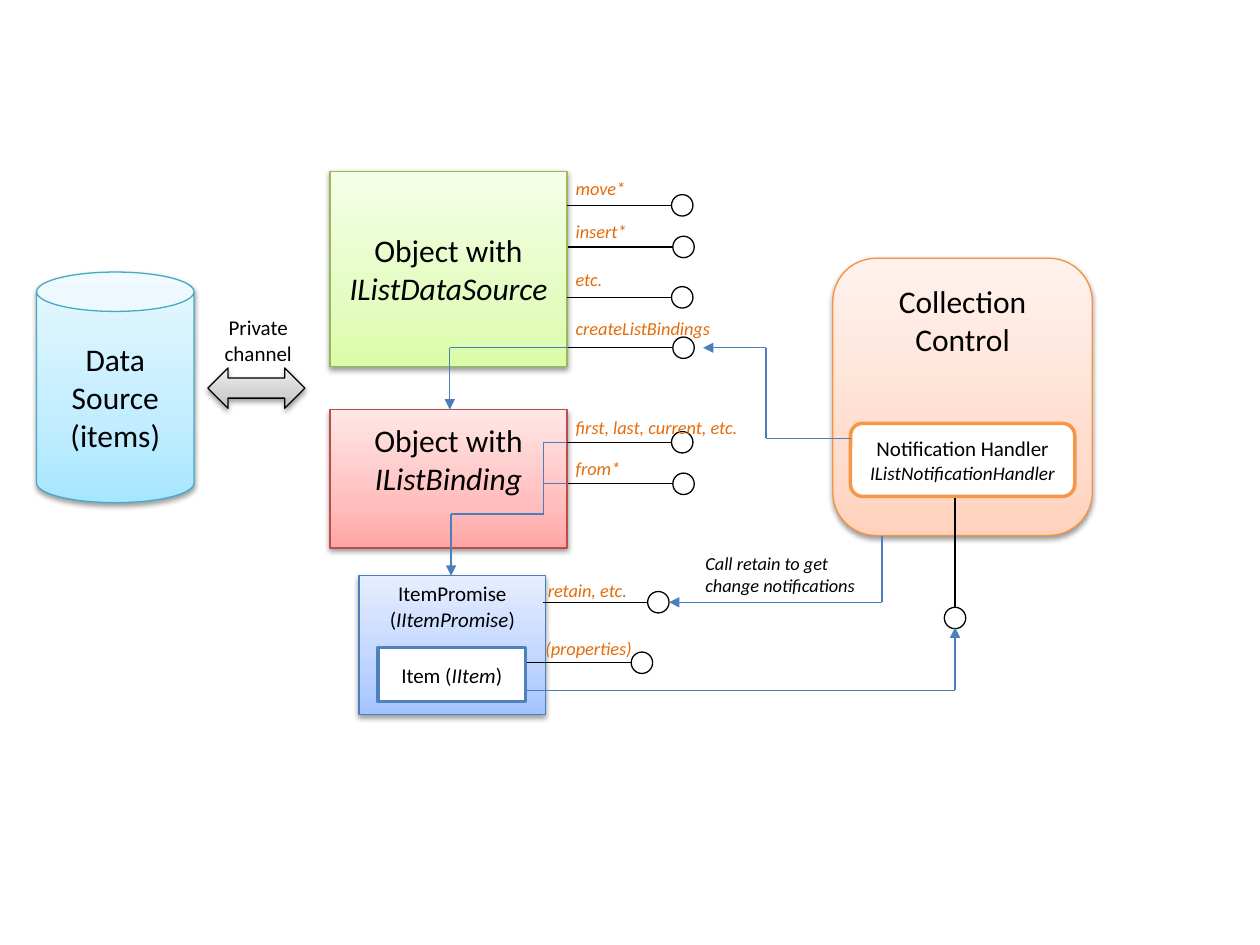
from copy import deepcopy

from lxml import etree
from pptx import Presentation
from pptx.dml.color import RGBColor
from pptx.enum.shapes import MSO_CONNECTOR, MSO_SHAPE
from pptx.enum.text import MSO_ANCHOR, MSO_AUTO_SIZE, PP_ALIGN
from pptx.oxml import parse_xml
from pptx.oxml.ns import nsdecls, qn
from pptx.util import Inches, Pt

STRAIGHT = MSO_CONNECTOR.STRAIGHT
RECT, ROUNDED = MSO_SHAPE.RECTANGLE, MSO_SHAPE.ROUNDED_RECTANGLE
CAN, TWO_WAY, OVAL = MSO_SHAPE.CAN, MSO_SHAPE.LEFT_RIGHT_ARROW, MSO_SHAPE.OVAL
TOP, MIDDLE = MSO_ANCHOR.TOP, MSO_ANCHOR.MIDDLE
LEFT, CENTER = PP_ALIGN.LEFT, PP_ALIGN.CENTER
FIT_SHAPE = MSO_AUTO_SIZE.SHAPE_TO_FIT_TEXT

COLORS = {
    "ink": "000000", "paper": "FFFFFF", "label": "E46C0A", "route": "4B7EBC",
    "handler": "F79646", "item": "4F81BD", "source": "46AAC5", "list": "98B955",
    "binding": "BF4C48", "control": "F69240",
}
# Gradient stops from bottom to top, at the positions below
STOPS = (0, 0.35, 1)
GRADIENTS = {
    "source": ("A7E6FF", "C1EDFF", "E7F8FF"),
    "list": ("DAFDA7", "E4FCC2", "F5FFE7"),
    "binding": ("FFA6A5", "FFC0BF", "FFE7E7"),
    "control": ("FFD2BD", "FFDED0", "FFF2ED"),
    "ink": ("BDBDBD", "D1D1D1", "EEEEEE"),
    "route": ("A4C4FF", "BFD4FF", "E6EEFF"),
}
RGB = {name: RGBColor.from_string(value) for name, value in COLORS.items()}

prs = Presentation()
prs.slide_width, prs.slide_height = Inches(10), Inches(7.5)
slide = prs.slides.add_slide(prs.slide_layouts[6])
shapes = slide.shapes
COL, ROW = prs.slide_width / 100, prs.slide_height / 75


def write(holder, paragraphs, size, color="ink", align=CENTER, italic_size=None, **frame_format):
    """Fill a shape with text; underscores enclose italics, newlines break lines."""
    frame = holder.text_frame
    for name, value in frame_format.items():
        setattr(frame, name, value)
    for index, content in enumerate(paragraphs):
        paragraph = frame.add_paragraph() if index else frame.paragraphs[0]
        paragraph.alignment = align
        for part, chunk in enumerate(content.split("_")):
            italic = part % 2 == 1
            for number, words in enumerate(chunk.split("\n")):
                if number:
                    paragraph.add_line_break()
                if not words:
                    continue
                run = paragraph.add_run()
                run.text = words
                run.font.color.rgb = RGB[color]
                points = italic_size if italic and italic_size else size
                font_format = {"name": "Calibri", "size": Pt(points), "italic": italic}
                for name, value in font_format.items():
                    setattr(run.font, name, value)


def connect(points, color="ink", arrow=False):
    """Join the points with straight connectors, the last one with an arrowhead if asked."""
    for start, end in zip(points, points[1:]):
        line = shapes.add_connector(
            STRAIGHT, int(start[0] * COL), int(start[1] * ROW), int(end[0] * COL), int(end[1] * ROW))
        line.line.color.rgb = RGB[color]
        line.line.width = Pt(0.75)
        etree.SubElement(line._element.spPr, qn("a:effectLst"))
        if arrow and end == points[-1]:
            etree.SubElement(line.line._get_or_add_ln(), qn("a:tailEnd"), type="triangle")


# Shaded components: kind, left, top, width, height, palette, text, size, anchor, top inset
components = [
    (CAN, 2.9, 21.6, 12.5, 18.3, "source", ["Data\nSource", "(items)"], 18, MIDDLE, 0.5),
    (RECT, 26.2, 13.6, 18.8, 15.5, "list", ["Object with\n_IListDataSource_"], 18, MIDDLE, 0.5),
    (RECT, 26.2, 32.5, 18.8, 11, "binding", ["Object with _IListBinding_"], 18, TOP, 0.9),
    (ROUNDED, 66.1, 20.5, 20.6, 22, "control", ["Collection\nControl"], 18, TOP, 0.9),
    (TWO_WAY, 16.5, 29.2, 7.7, 3.2, "ink", [], 12, MIDDLE, 0.5),
    (RECT, 28.5, 45.7, 14.8, 11, "route", ["ItemPromise (_IItemPromise_)"], 12, TOP, 0.4),
]
for kind, left, top, width, height, palette, text, size, anchor, inset in components:
    component = shapes.add_shape(
        kind, int(left * COL), int(top * ROW), int(width * COL), int(height * ROW))
    component.line.color.rgb = RGB[palette]
    component.line.width = Pt(0.75)
    component.fill.gradient()
    component.fill.gradient_angle = 90
    stop_list = component._element.spPr.find(".//" + qn("a:gsLst"))
    stop_list.insert(1, deepcopy(stop_list[0]))
    for stop, position, tint in zip(component.fill.gradient_stops, STOPS, GRADIENTS[palette]):
        stop.position = position
        stop.color.rgb = RGBColor.from_string(tint)
    component.shadow.inherit = False
    component._element.spPr.find(qn("a:effectLst")).append(parse_xml(
        f'<a:outerShdw {nsdecls("a")} blurRad="40000" dist="20000" dir="5400000" rotWithShape="0">'
        '<a:srgbClr val="000000"><a:alpha val="38000"/></a:srgbClr></a:outerShdw>'))
    write(component, text, size, word_wrap=True, vertical_anchor=anchor, margin_top=int(inset * ROW))

# Plain boxes nested in the components
nested = [
    (ROUNDED, 67.5, 33.6, 17.8, 5.8, "handler", "Notification Handler\n_IListNotificationHandler_", 11),
    (RECT, 30, 51.4, 11.7, 4.3, "item", "Item (_IItem_)", 12),
]
for kind, left, top, width, height, outline, text, italic_size in nested:
    part = shapes.add_shape(
        kind, int(left * COL), int(top * ROW), int(width * COL), int(height * ROW))
    part.shadow.inherit = False
    part.fill.solid()
    part.fill.fore_color.rgb = RGB["paper"]
    part.line.color.rgb = RGB[outline]
    part.line.width = Pt(2)
    write(part, [text], 12, italic_size=italic_size, word_wrap=True, vertical_anchor=MIDDLE)

# Interface ports: where the stem starts, and the direction it runs in
STEM, KNOB = 8.3, 1.7
ports = [(45, 16.3), (45.1, 19.6), (45, 23.6), (45.1, 27.6), (45, 35.1), (45.1, 38.4),
         (43.1, 47.8), (41.8, 52.6)]
stems = [(x, y, 1, 0) for x, y in ports] + [(75.8, 39.5, 0, 1)]
for x, y, across, down in stems:
    length = STEM if across else 8.7
    tip_x, tip_y = x + length * across, y + length * down
    connect([(x, y), (tip_x, tip_y)])
    knob = shapes.add_shape(
        OVAL, int((tip_x - KNOB / 2 * down) * COL), int((tip_y - KNOB / 2 * across) * ROW),
        int(KNOB * COL), int(KNOB * ROW))
    knob.shadow.inherit = False
    knob.fill.solid()
    knob.fill.fore_color.rgb = RGB["paper"]
    knob.line.color.rgb = RGB["ink"]
    knob.line.width = Pt(0.75)

# Calls between components: corner points, arrowhead at the end
routes = [
    ([(67.5, 34.8), (60.8, 34.8), (60.8, 27.6), (55.8, 27.6)], True),
    ([(45.1, 27.6), (35.7, 27.6), (35.7, 32.5)], True),
    ([(45, 35.1), (43.15, 35.1), (43.15, 40.8), (35.8, 40.8), (35.8, 45.7)], True),
    ([(45.1, 38.4), (43.15, 38.4)], False),
    ([(41.8, 54.8), (75.8, 54.8), (75.8, 49.8)], True),
    ([(70, 42.5), (70, 47.8), (53.1, 47.8)], True),
]
for corners, arrow in routes:
    connect(corners, "route", arrow)

# Labels: left, top, width, height, text, size, color, alignment, wrapping
captions = [
    (left, top, width, 2.8, [f"_{text}_"], 10.5, "label", LEFT, False)
    for left, top, width, text in [
        (44.7, 13.6, 6, "move*"),
        (44.7, 17, 6.1, "insert*"),
        (44.7, 20.8, 4.2, "etc."),
        (44.7, 24.7, 12.9, "createListBindings"),
        (44.7, 32.5, 15.1, "first, last, current, etc."),
        (44.7, 35.8, 5.6, "from*"),
        (42.5, 45.5, 8.4, "retain, etc."),
        (42.3, 50.1, 9, "(properties)"),
    ]
] + [
    (55, 43.3, 14.1, 4.5, ["_Call retain to get\nchange notifications_"], 10.5, "ink", LEFT, False),
    (16.8, 24.5, 7.4, 5, ["Private", "channel"], 12, "ink", CENTER, True),
]
for left, top, width, height, text, size, color, align, wrap in captions:
    caption = shapes.add_textbox(
        int(left * COL), int(top * ROW), int(width * COL), int(height * ROW))
    write(caption, text, size, color, align, word_wrap=wrap, auto_size=FIT_SHAPE)

prs.save("out.pptx")
